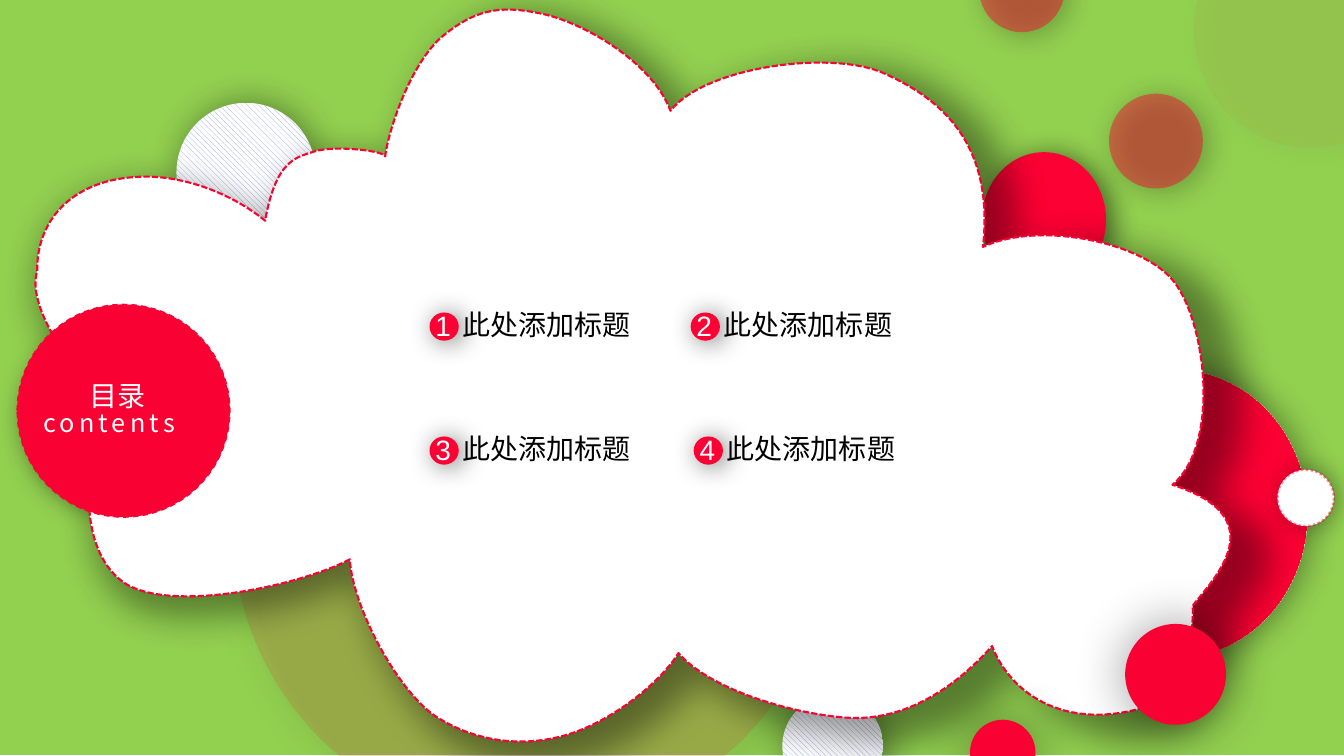
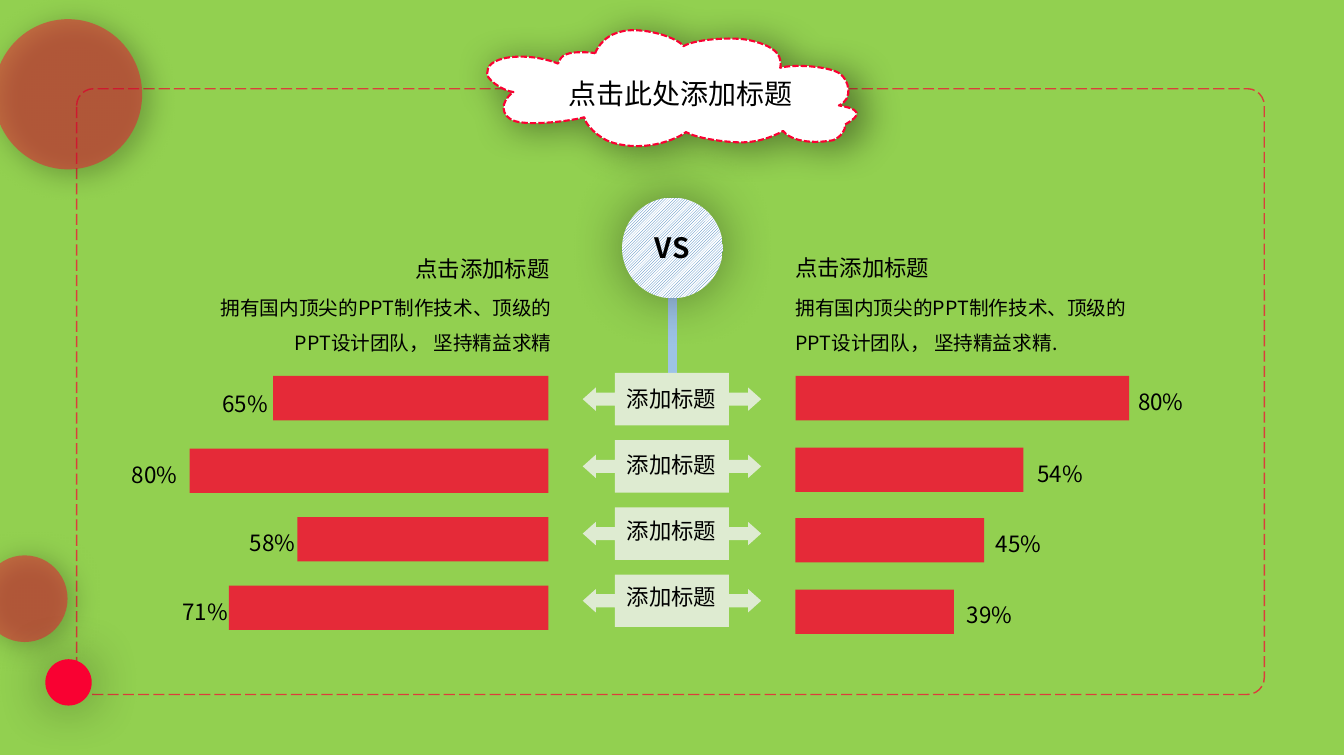
from lxml.etree import SubElement
from pptx import Presentation
from pptx.dml.color import RGBColor
from pptx.enum.dml import MSO_LINE, MSO_PATTERN
from pptx.enum.shapes import MSO_CONNECTOR, MSO_SHAPE
from pptx.enum.text import MSO_AUTO_SIZE, PP_ALIGN
from pptx.oxml.ns import qn
from pptx.util import Inches, Pt

# Shared look
GREEN, WHITE, BLACK = "92D050", "FFFFFF", "000000"
RED, CRIMSON, SCARLET = "FC0133", "F90132", "FA0133"
HATCH, PALE, SKY, BLUE = "869FE7", "F2F2F2", "9DC3E6", "2E75B6"
CJK = "Noto Sans CJK JP"

# Shadows: opacity %, blur pt, distance pt, direction in degrees, size %
SOFT = (50, 19, 3, 25, 103)
SIDE = (40, 25, 3, 0, 100)
DEEP = (40, 26, 3, 45, 103)
GLOW = (40, 39, 0, 139, 100)

rgb = RGBColor.from_string


def paint(shape, fill=None, alpha=100, pattern=None, shadow=None, line=None):
    """line is (colour, width in pt, dash, opacity %)."""
    if fill is None:
        shape.fill.background()
    elif pattern:
        shape.fill.patterned()
        shape.fill.pattern = pattern
        shape.fill.fore_color.rgb = rgb(fill)
        shape.fill.back_color.rgb = rgb(WHITE)
    else:
        shape.fill.solid()
        shape.fill.fore_color.rgb = rgb(fill)
    properties = shape._element.spPr
    faded = [(properties.find(qn("a:solidFill")), alpha)]
    if line:
        colour, width, dash, opacity = line
        shape.line.color.rgb = rgb(colour)
        shape.line.width = Pt(width)
        shape.line.dash_style = dash
        faded.append((properties.find(qn("a:ln")).find(qn("a:solidFill")), opacity))
    else:
        shape.line.fill.background()
    for solid, opacity in faded:
        if solid is not None and opacity < 100:
            SubElement(solid[0], qn("a:alpha"), val=str(opacity * 1000))
    shape.shadow.inherit = False
    if shadow:
        opacity, blur, distance, direction, size = shadow
        outer = SubElement(properties.find(qn("a:effectLst")), qn("a:outerShdw"),
                           blurRad=str(Pt(blur)), dist=str(Pt(distance)),
                           dir=str(direction * 60000), sx=str(size * 1000),
                           sy=str(size * 1000), algn="tl", rotWithShape="0")
        tint = SubElement(outer, qn("a:srgbClr"), val=BLACK)
        SubElement(tint, qn("a:alpha"), val=str(opacity * 1000))


def write(slide, words, x, y, w, h, size=16, colour=BLACK, font=CJK, bold=False,
          align=PP_ALIGN.LEFT, leading=None, tracking=0, wrap=True):
    box = slide.shapes.add_textbox(Inches(x), Inches(y), Inches(w), Inches(h))
    box.text_frame.word_wrap = wrap
    box.text_frame.auto_size = MSO_AUTO_SIZE.SHAPE_TO_FIT_TEXT
    paragraph = box.text_frame.paragraphs[0]
    paragraph.alignment = align
    if leading:
        paragraph.line_spacing = leading
    run = paragraph.add_run()
    run.text = words
    run.font.size = Pt(size)
    run.font.bold = bold
    run.font.name = font
    run.font.color.rgb = rgb(colour)
    letters = run.font._element
    SubElement(letters, qn("a:ea"), typeface=font)
    if tracking:
        letters.set("spc", str(round(tracking * 100)))


prs = Presentation()
prs.slide_width, prs.slide_height = Inches(13.33), Inches(7.5)
contents, comparison = [prs.slides.add_slide(prs.slide_layouts[6]) for _ in range(2)]

# Green backdrop of both slides
for slide in (contents, comparison):
    backdrop = slide.shapes.add_shape(MSO_SHAPE.RECTANGLE, Inches(0), Inches(-0.01),
                                      Inches(13.34), Inches(7.5))
    paint(backdrop, GREEN)

# Dashed frame of the comparison slide
frame = comparison.shapes.add_shape(MSO_SHAPE.ROUNDED_RECTANGLE, Inches(0.76),
                                    Inches(0.88), Inches(11.78), Inches(6.01))
frame.adjustments[0] = 0.028
paint(frame, line=(SCARLET, 1, MSO_LINE.LONG_DASH, 70))

# Cloud outline: a start and curves of two control points and an end
CLOUD_BOX = (0.35, 0.1, 11.86, 7.26)
CLOUD_START = (3.82, 1.56)
CLOUD_CURVES = [
    (3.85, 1.3, 4.07, 0.63, 4.39, 0.36), (4.72, 0.09, 4.97, 0.04, 5.43, 0.15),
    (5.88, 0.27, 6.49, 0.66, 6.65, 1.1), (7, 0.66, 8.23, 0.5, 8.75, 0.72),
    (9.27, 0.95, 9.87, 1.37, 9.75, 2.45), (10.3, 2.19, 11.33, 2.4, 11.64, 2.79),
    (11.96, 3.19, 12.11, 4.4, 11.63, 4.81), (12.66, 5.14, 12.03, 5.75, 11.83, 6.01),
    (11.85, 6.37, 11.69, 6.79, 11.44, 6.99), (10.6, 7.28, 10.03, 6.9, 9.84, 6.41),
    (9.43, 6.87, 8.93, 7.16, 8.39, 7.12), (7.85, 7.08, 7.04, 6.84, 6.73, 6.48),
    (6.53, 6.8, 6.03, 7.18, 5.59, 7.3), (5.15, 7.42, 4.69, 7.35, 4.31, 7.1),
    (3.94, 6.84, 3.5, 6.03, 3.47, 5.55), (3, 5.8, 1.75, 6.08, 1.26, 5.8),
    (0.78, 5.51, 0.76, 4.57, 1.2, 3.97), (0.85, 3.91, 0.24, 3.07, 0.37, 2.69),
    (0.36, 2.19, 0.71, 1.81, 1.3, 1.76), (1.78, 1.71, 2.3, 1.92, 2.63, 2.19),
    (2.74, 1.57, 2.95, 1.56, 3.13, 1.5), (3.34, 1.44, 3.85, 1.5, 3.82, 1.56),
]

# Circles behind and in front of each cloud
red = dict(fill=RED, shadow=SOFT)
bright = dict(fill=CRIMSON, shadow=GLOW)
brown = dict(fill=RED, alpha=46, shadow=SOFT)
hatched = dict(fill=HATCH, pattern=MSO_PATTERN.WIDE_DOWNWARD_DIAGONAL, shadow=SIDE)
contents_behind = [
    (9.74, 1.51, 1.23, 1.34, red),
    (7.76, 6.9, 1, 1, hatched),
    (10.34, 3.67, 2.63, 2.86,
     dict(fill=RED, pattern=MSO_PATTERN.DARK_VERTICAL, shadow=SIDE)),
    (0.19, 3.21, 1.63, 1.78, red),
    (1.75, 1.02, 1.38, 1.38, hatched),
    (2.3, 2.21, 5.95, 5.99, dict(fill=RED, alpha=13, shadow=SOFT)),
]
contents_front = [
    (12.67, 4.66, 0.56, 0.56, dict(fill=WHITE, shadow=(34, 18, 3, 0, 100),
                                   line=(CRIMSON, 1.75, MSO_LINE.ROUND_DOT, 45))),
    (9.62, 7.14, 0.65, 0.65, bright),
    (11, 0.93, 0.93, 0.94, brown),
    (9.71, -0.54, 0.85, 0.86, brown),
    (11.84, -0.87, 2.33, 2.34, dict(fill=RED, alpha=4, shadow=SOFT)),
    (11.16, 6.19, 1, 1, bright),
]
comparison_front = [
    (-0.06, 0.19, 1.47, 1.49, brown),
    (-0.18, 5.51, 0.85, 0.86, brown),
    (0.45, 6.54, 0.46, 0.46, bright),
]
# Numbered entries: text left, text top
entries = [(4.49, 3), (7.08, 3), (4.49, 4.23), (7.11, 4.23)]
contents_front += [(x - 0.23, y + 0.1, 0.29, 0.28, red) for x, y in entries]
contents_front.append((0.17, 3.02, 2.11, 2.11, dict(
    fill=SCARLET, line=(SCARLET, 1, MSO_LINE.DASH, 100))))

for slide, behind, cloud_box, front in (
        (contents, contents_behind, CLOUD_BOX, contents_front),
        (comparison, [], (4.83, 0.3, 3.67, 1.15), comparison_front)):
    for circles in (behind, front):
        if circles is front:
            # The box gives the cloud its size, the curves then replace its sides
            left, top, width, height = [Inches(length) for length in cloud_box]
            builder = slide.shapes.build_freeform(left, top)
            builder.add_line_segments([(left + width, top), (left + width, top + height),
                                       (left, top + height)], close=True)
            cloud = builder.convert_to_shape()
            outline = next(cloud._element.iter(qn("a:path")))
            for side in list(outline):
                outline.remove(side)
            for kind, numbers in [("a:moveTo", CLOUD_START)] + [
                    ("a:cubicBezTo", curve) for curve in CLOUD_CURVES]:
                segment = SubElement(outline, qn(kind))
                for x, y in zip(numbers[::2], numbers[1::2]):
                    SubElement(segment, qn("a:pt"),
                               x=str(round((x - CLOUD_BOX[0]) / CLOUD_BOX[2] * width)),
                               y=str(round((y - CLOUD_BOX[1]) / CLOUD_BOX[3] * height)))
            SubElement(outline, qn("a:close"))
            paint(cloud, WHITE, shadow=DEEP,
                  line=(CRIMSON, 1.5, MSO_LINE.SQUARE_DOT, 100))
        for x, y, w, h, style in circles:
            circle = slide.shapes.add_shape(MSO_SHAPE.OVAL, Inches(x), Inches(y),
                                            Inches(w), Inches(h))
            paint(circle, **style)

# Contents: entries and heading
for number, (x, y) in enumerate(entries, 1):
    write(contents, "此处添加标题", x, y, 1.88, 0.44, size=20, wrap=False)
    write(contents, str(number), x - 0.27, y + 0.01, 0.37, 0.44, size=20,
          colour=WHITE, font="Arial", wrap=False)
write(contents, "目录", 0.79, 3.71, 0.76, 0.44, size=20, colour=WHITE, wrap=False)
write(contents, "contents", 0.33, 3.99, 1.81, 0.4, size=18, colour=WHITE,
      tracking=3, wrap=False)

# Comparison: title and VS badge on its stem
write(comparison, "点击此处添加标题", 5.54, 0.71, 2.57, 0.44, size=20)
stem = comparison.shapes.add_connector(MSO_CONNECTOR.STRAIGHT, Inches(6.67),
                                       Inches(2.63), Inches(6.67), Inches(3.7))
stem.line.color.rgb = rgb(SKY)
stem.line.width = Pt(6.5)
SubElement(stem._element.spPr, qn("a:effectLst"))
badge = comparison.shapes.add_shape(MSO_SHAPE.OVAL, Inches(6.17), Inches(1.96),
                                    Inches(1), Inches(1))
paint(badge, BLUE, pattern=MSO_PATTERN.DARK_UPWARD_DIAGONAL, shadow=GLOW)
write(comparison, "VS", 6.39, 2.29, 0.73, 0.38, size=20, bold=True,
      align=PP_ALIGN.JUSTIFY, leading=Pt(20), tracking=0.9)

# Bars: left, top, width, share, label left, label top
bars = [
    (2.71, 3.73, 2.73, "65%", 2.11, 3.69), (1.88, 4.45, 3.56, "80%", 1.21, 4.39),
    (2.95, 5.13, 2.49, "58%", 2.38, 5.07), (2.27, 5.81, 3.17, "71%", 1.71, 5.75),
    (7.89, 3.73, 3.31, "80%", 11.19, 3.67), (7.89, 4.44, 2.26, "54%", 10.19, 4.38),
    (7.89, 5.14, 1.87, "45%", 9.78, 5.08), (7.89, 5.85, 1.57, "39%", 9.49, 5.78),
]
for x, y, width, share, label_x, label_y in bars:
    bar = comparison.shapes.add_shape(MSO_SHAPE.RECTANGLE, Inches(x), Inches(y),
                                      Inches(width), Inches(0.44))
    paint(bar, SCARLET, alpha=80)
    write(comparison, share, label_x, label_y, 0.67, 0.5, leading=1.5)

# Row names between the bars
for row in range(4):
    callout = comparison.shapes.add_shape(
        MSO_SHAPE.LEFT_RIGHT_ARROW_CALLOUT, Inches(5.78), Inches(3.7 + row * 2 / 3),
        Inches(1.77), Inches(0.52))
    for index, value in enumerate((0.25, 0.223, 0.25, 0.639)):
        callout.adjustments[index] = value
    paint(callout, PALE, alpha=80)
    write(comparison, "添加标题", 6.12, 3.77 + row * 1.97 / 3, 1.27, 0.37)

# Descriptions of the two sides
description = "拥有国内顶尖的PPT制作技术、顶级的PPT设计团队， 坚持精益求精"
for heading_x, heading_y, body_x, ending, align in (
        (3.31, 2.35, 1.82, "", PP_ALIGN.RIGHT), (7.79, 2.34, 7.79, ".", PP_ALIGN.LEFT)):
    write(comparison, "点击添加标题", heading_x, heading_y, 2.24, 0.5,
          align=align, leading=1.5)
    write(comparison, description + ending, body_x, 2.77, 3.75, 0.81, size=14,
          align=align, leading=1.5)

prs.save("out.pptx")
